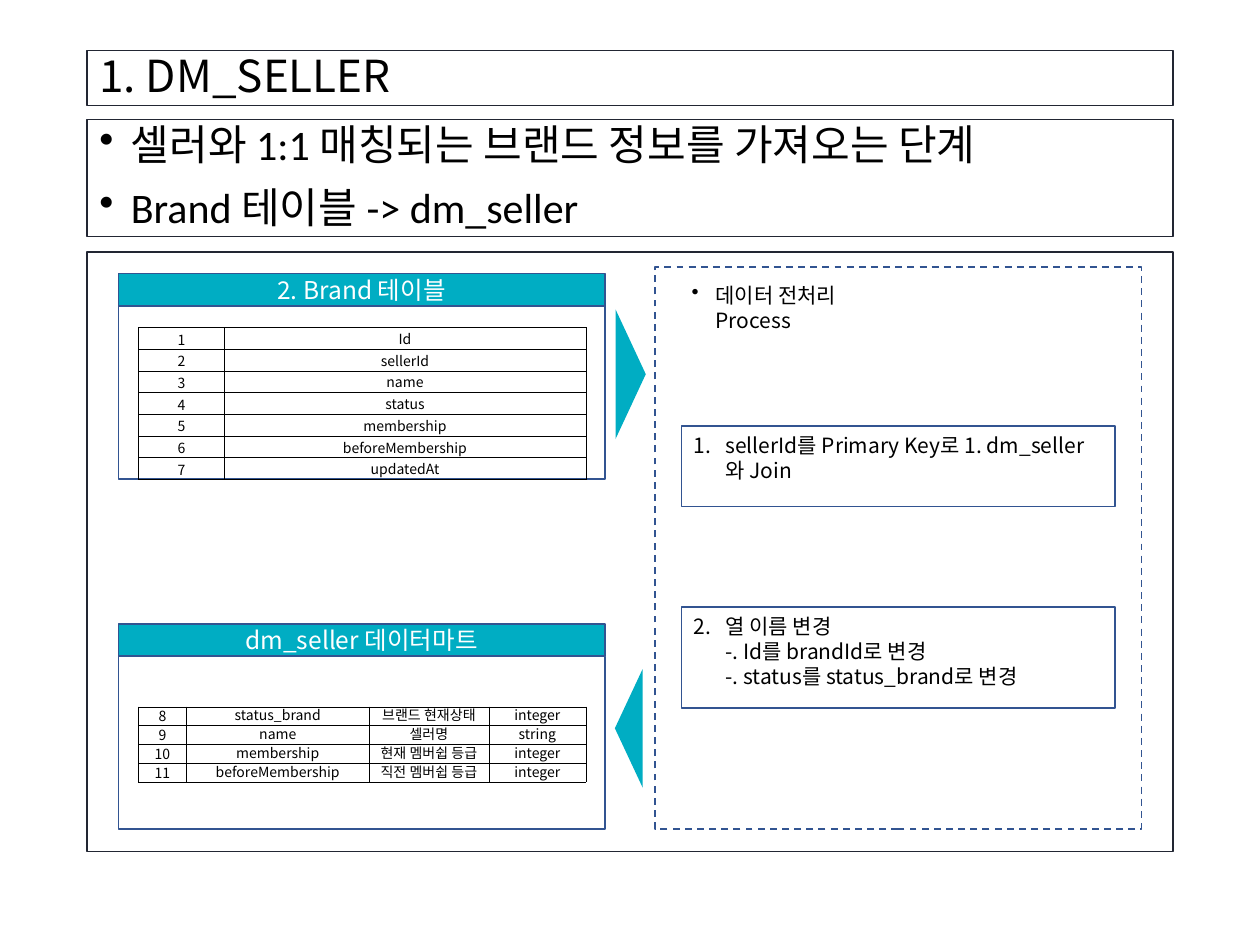
from lxml import etree
from pptx import Presentation
from pptx import util as u
from pptx.dml.color import RGBColor
from pptx.enum import dml, shapes, text
from pptx.oxml import ns

INK = RGBColor(0, 0, 0)
WHITE = RGBColor(255, 255, 255)
FRAME = RGBColor(0x22, 0x26, 0x33)
BLUE = RGBColor(0x32, 0x54, 0x91)
TEAL = RGBColor(0x00, 0xAD, 0xC3)
NOTO = "Noto Sans CJK KR"
INCH = u.Inches

BRAND = [(str(n), name) for n, name in enumerate(
    ["Id", "sellerId", "name", "status", "membership",
     "beforeMembership", "updatedAt"], 1)]
MART = [
    ("8", "status_brand", "브랜드 현재상태", "integer"),
    ("9", "name", "셀러명", "string"),
    ("10", "membership", "현재 멤버쉽 등급", "integer"),
    ("11", "beforeMembership", "직전 멤버쉽 등급", "integer"),
]


def add_box(slide, box, line=None, fill=None, width=1,
            kind=shapes.MSO_SHAPE.RECTANGLE):
    shape = slide.shapes.add_shape(kind, *map(INCH, box))
    shape.shadow.inherit = False
    if fill is None:
        shape.fill.background()
    else:
        shape.fill.solid()
        shape.fill.fore_color.rgb = fill
    if line is None:
        shape.line.fill.background()
    else:
        shape.line.color.rgb = line
        shape.line.width = u.Pt(width)
    return shape


def add_mark(para, indent, tag, **attrs):
    """Give a paragraph a hanging bullet or number."""
    props = para._p.get_or_add_pPr()
    props.set("marL", str(INCH(indent)))
    props.set("indent", str(-INCH(indent)))
    etree.SubElement(props, ns.qn("a:" + tag), attrs)


def style(para, size, color=INK, font=NOTO, align=text.PP_ALIGN.LEFT):
    para.alignment = align
    para.font.size = u.Pt(size)
    para.font.name = font
    para.font.color.rgb = color


def add_title(slide, box, words):
    frame = add_box(slide, box, FRAME, width=0.75).text_frame
    frame.vertical_anchor = text.MSO_ANCHOR.MIDDLE
    para = frame.paragraphs[0]
    para.text = words
    para.line_spacing = 0.9
    style(para, 25.2)


def add_points(slide, box, points):
    frame = add_box(slide, box, FRAME, width=0.75).text_frame
    frame.vertical_anchor = text.MSO_ANCHOR.MIDDLE
    for i, words in enumerate(points):
        para = frame.add_paragraph() if i else frame.paragraphs[0]
        para.text = words
        para.line_spacing = 0.9
        if i:
            para.space_before = u.Pt(10)
        add_mark(para, 0.25, "buChar", char="•")
        style(para, 24, font="Calibri")


def set_edges(cell):
    props = cell._tc.get_or_add_tcPr()
    for i, side in enumerate(("lnL", "lnR", "lnT", "lnB")):
        edge = etree.Element(ns.qn("a:" + side), w=str(u.Pt(0.25)))
        fill = etree.SubElement(edge, ns.qn("a:solidFill"))
        etree.SubElement(fill, ns.qn("a:srgbClr"), val=str(INK))
        props.insert(i, edge)


def add_grid(slide, left, top, cols, high, rows, pitch=None):
    grid = slide.shapes.add_table(
        len(rows), len(cols), INCH(left), INCH(top),
        INCH(sum(cols)), INCH(high * len(rows))).table
    grid.first_row = grid.horz_banding = False
    for col, wide in zip(grid.columns, cols):
        col.width = INCH(wide)
    for r, row in enumerate(rows):
        grid.rows[r].height = INCH(high)
        for c, words in enumerate(row):
            cell = grid.cell(r, c)
            cell.fill.background()
            set_edges(cell)
            side = 0 if c else INCH(0.01)
            cell.margin_left = cell.margin_right = cell.margin_top = side
            cell.margin_bottom = 0
            cell.vertical_anchor = text.MSO_ANCHOR.MIDDLE
            para = cell.text_frame.paragraphs[0]
            para.text = words
            if pitch:
                para.line_spacing = u.Pt(pitch)
            style(para, 8, align=text.PP_ALIGN.CENTER)


def add_panel(slide, box, name, drop, **grid):
    """Place a headed panel with its table drop inches below the top."""
    left, top, wide, high = box
    head = 0.26
    frame = add_box(slide, (left, top, wide, head), BLUE, TEAL).text_frame
    frame.vertical_anchor = text.MSO_ANCHOR.MIDDLE
    para = frame.paragraphs[0]
    para.text = name
    style(para, 14, WHITE, align=text.PP_ALIGN.CENTER)
    add_box(slide, (left, top + head, wide, high - head), BLUE)
    add_grid(slide, left + 0.16, top + drop, **grid)


def add_step(slide, box, num, words):
    frame = add_box(slide, box, BLUE).text_frame
    frame.word_wrap = True
    frame.vertical_anchor = text.MSO_ANCHOR.TOP
    para = frame.paragraphs[0]
    para.text = words
    add_mark(para, 0.25, "buAutoNum", type="arabicPeriod", startAt=str(num))
    style(para, 12)


def add_process(slide, box):
    left, top, wide, high = box
    add_box(slide, box, BLUE).line.dash_style = dml.MSO_LINE.DASH
    note = slide.shapes.add_textbox(
        INCH(left + 0.19), INCH(top + 0.07), INCH(2.01), INCH(0.3))
    frame = note.text_frame
    frame.word_wrap = True
    frame.margin_right = INCH(0.3)
    para = frame.paragraphs[0]
    para.text = "데이터 전처리 Process"
    add_mark(para, 0.19, "buChar", char="•")
    style(para, 12)
    inner = left + 0.21
    add_step(slide, (inner, top + 1.26, 3.44, 0.64), 1,
             "sellerId를 Primary Key로 1. dm_seller와 Join")
    add_step(slide, (inner, top + 2.7, 3.44, 0.8), 2,
             "열 이름 변경\v-. Id를 brandId로 변경\v"
             "-. status를 status_brand로 변경")


def add_arrow(slide, box, turn):
    add_box(slide, box, fill=TEAL,
            kind=shapes.MSO_SHAPE.ISOSCELES_TRIANGLE).rotation = turn


def main():
    deck = Presentation()
    deck.slide_width, deck.slide_height = INCH(10), INCH(7.5)
    slide = deck.slides.add_slide(deck.slide_layouts[6])
    left, wide = 0.69, 8.62
    add_box(slide, (left, 2, wide, 4.76), FRAME, width=0.75)
    add_title(slide, (left, 0.4, wide, 0.44), "1. DM_SELLER")
    add_points(slide, (left, 0.95, wide, 0.93),
               ["셀러와 1:1 매칭되는 브랜드 정보를 가져오는 단계",
                "Brand 테이블 -> dm_seller"])
    add_panel(slide, (0.94, 2.17, 3.86, 1.63), "2. Brand 테이블", 0.43,
              cols=(0.68, 2.87), high=0.14, rows=BRAND)
    add_panel(slide, (0.94, 4.95, 3.86, 1.63), "dm_seller 데이터마트", 0.66,
              cols=(0.38, 1.45, 0.95, 0.77), high=0.14, rows=MART, pitch=10)
    add_process(slide, (5.2, 2.12, 3.86, 4.46))
    add_arrow(slide, (4.49, 2.85, 1.03, 0.24), 90)
    add_arrow(slide, (4.52, 5.67, 0.94, 0.22), 270)
    deck.save("out.pptx")


if __name__ == "__main__":
    main()
